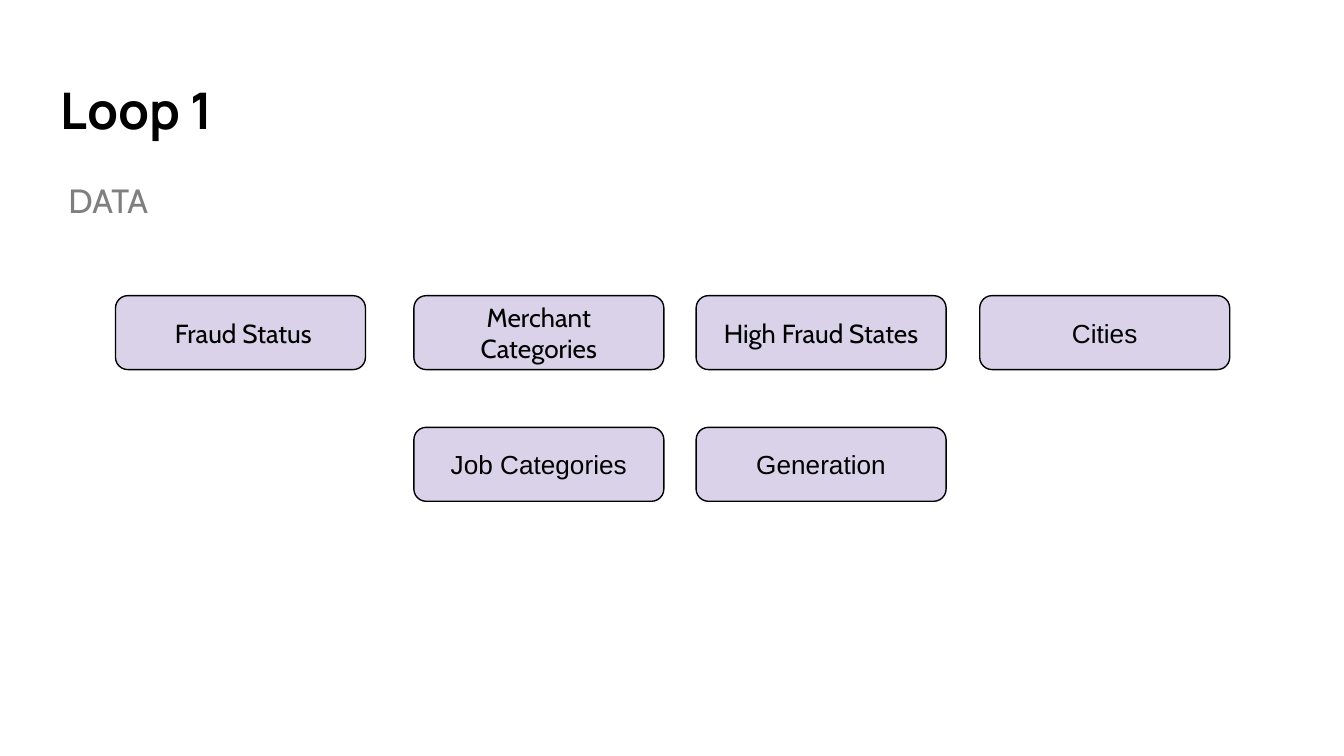
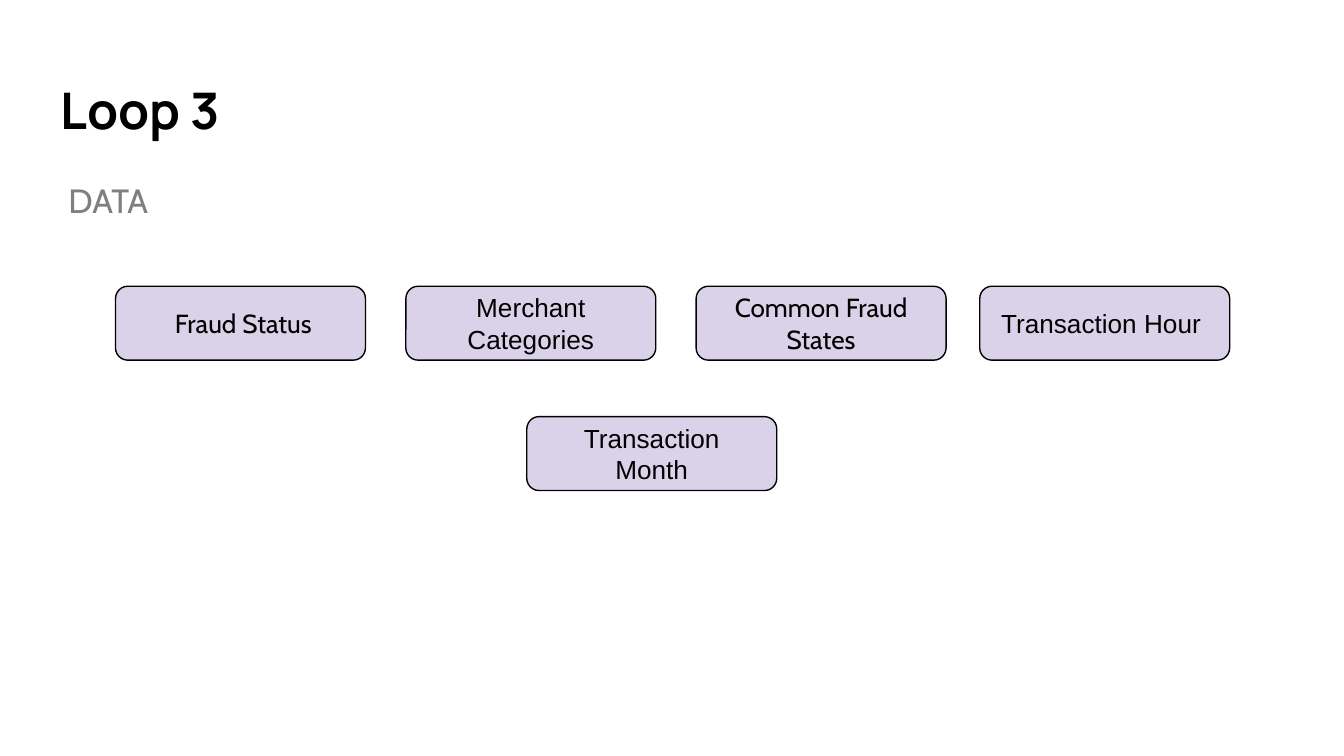
from pptx import Presentation
from pptx.dml.color import RGBColor
from pptx.enum import shapes, text
from pptx.util import Inches, Pt

BLACK, GREY, LILAC = "000000", "7F7F7F", "D9D2E9"
HEADING_FONT, BODY_FONT, PLAIN_FONT = "Manrope", "Cabin", "Arial"

BOX_WIDTH, BOX_HEIGHT = 1.86, 0.55
MARGINS = {"left": 0.11, "top": 0.1, "right": 0.11, "bottom": 0.1}

# Each row: top edge, then fields as label, font, left edge (inches)
SLIDES = [
    {
        "title": "Loop 1",
        "rows": [
            (2.2, [
                (" Fraud Status", BODY_FONT, 0.86),
                ("Merchant Categories", BODY_FONT, 3.08),
                ("High Fraud States", BODY_FONT, 5.18),
                ("Cities", PLAIN_FONT, 7.29),
            ]),
            (3.18, [
                ("Job Categories", PLAIN_FONT, 3.08),
                ("Generation", PLAIN_FONT, 5.18),
            ]),
        ],
    },
    {
        "title": "Loop 3",
        "rows": [
            (2.13, [
                (" Fraud Status", BODY_FONT, 0.86),
                ("Merchant Categories", PLAIN_FONT, 3.02),
                ("Common Fraud States", BODY_FONT, 5.18),
                ("Transaction Hour ", PLAIN_FONT, 7.29),
            ]),
            (3.1, [("Transaction Month", PLAIN_FONT, 3.92)]),
        ],
    },
]

TITLE = {"name": HEADING_FONT, "size": Pt(27), "bold": True}
SUBTITLE = {"name": BODY_FONT, "size": Pt(18)}


def rgb(value):
    return RGBColor.from_string(value)


def write(shape, words, font, color, anchor, align):
    frame = shape.text_frame
    settings = {"word_wrap": True, "vertical_anchor": anchor}
    for side, margin in MARGINS.items():
        settings[f"margin_{side}"] = Inches(margin)
    for name, value in settings.items():
        setattr(frame, name, value)
    paragraph = frame.paragraphs[0]
    paragraph.alignment = align
    run = paragraph.add_run()
    run.text = words
    for name, value in font.items():
        setattr(run.font, name, value)
    run.font.color.rgb = rgb(color)


def add_label(slide, words, place, font, color):
    box = slide.shapes.add_textbox(*map(Inches, place))
    write(box, words, font, color, text.MSO_ANCHOR.TOP, text.PP_ALIGN.LEFT)


def add_field(slide, words, font_name, left, top):
    """Add one rounded box that names a data field."""
    shape = slide.shapes.add_shape(
        shapes.MSO_SHAPE.ROUNDED_RECTANGLE,
        *map(Inches, (left, top, BOX_WIDTH, BOX_HEIGHT)),
    )
    shape.shadow.inherit = False
    shape.fill.solid()
    shape.fill.fore_color.rgb = rgb(LILAC)
    shape.line.color.rgb = rgb(BLACK)
    shape.line.width = Pt(0.75)
    font = {"name": font_name, "size": Pt(14)}
    write(shape, words, font, BLACK, text.MSO_ANCHOR.MIDDLE, text.PP_ALIGN.CENTER)


def add_slide(presentation, content):
    slide = presentation.slides.add_slide(presentation.slide_layouts[6])
    add_label(slide, content["title"], (0.34, 0.49, 9.32, 0.68), TITLE, BLACK)
    add_label(slide, "DATA", (0.4, 1.24, 0.96, 0.55), SUBTITLE, GREY)
    for top, fields in content["rows"]:
        for words, font_name, left in fields:
            add_field(slide, words, font_name, left, top)


def main():
    presentation = Presentation()
    presentation.slide_width = Inches(10)
    presentation.slide_height = Inches(10 * 9 / 16)
    for content in SLIDES:
        add_slide(presentation, content)
    presentation.save("out.pptx")


if __name__ == "__main__":
    main()
